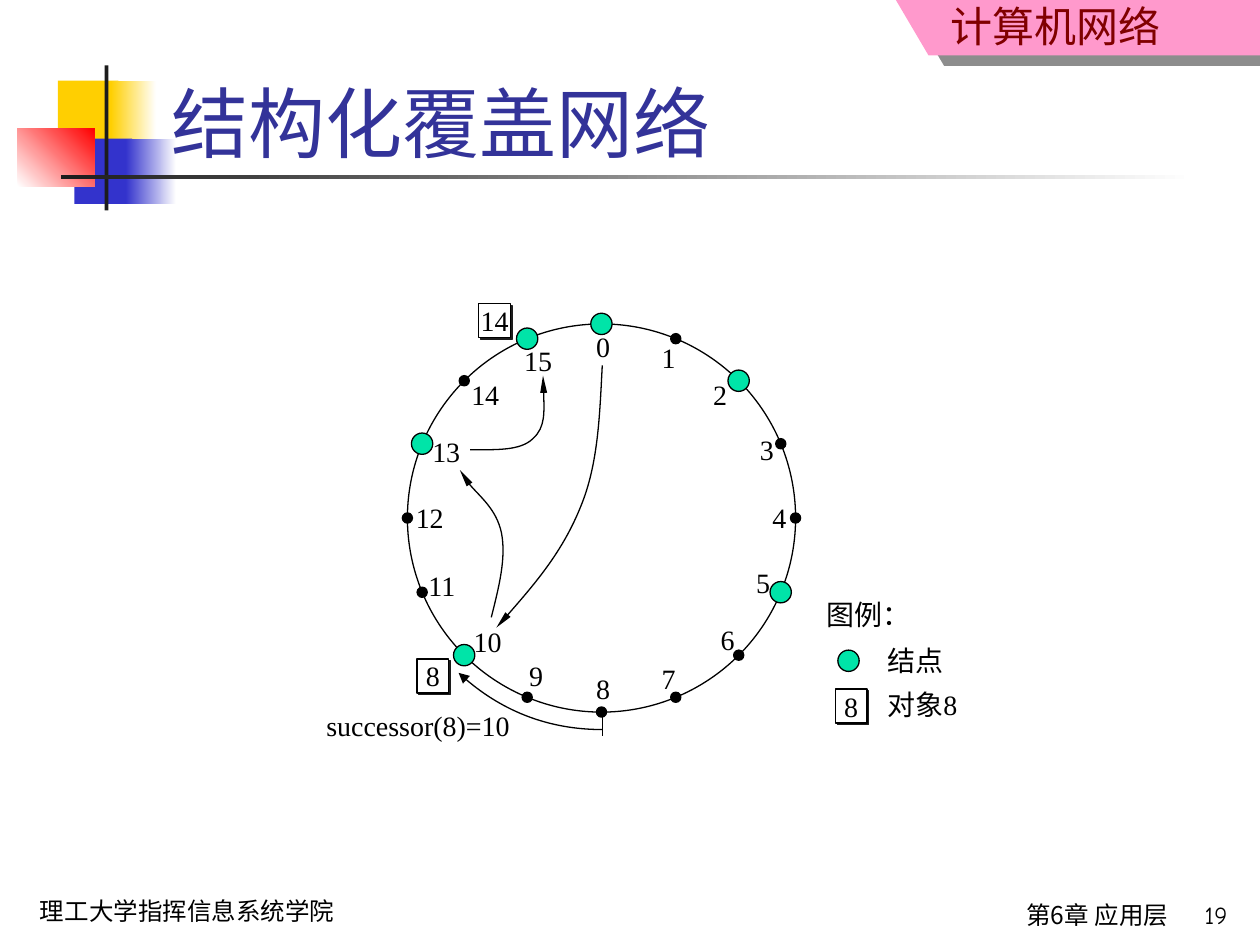
"""Builds a slide on a structured overlay network: a ring of sixteen ids."""
from math import cos, radians, sin

from lxml.etree import SubElement as Sub
from pptx import Presentation
from pptx.dml.color import RGBColor as Rgb
from pptx.enum.shapes import MSO_CONNECTOR as Link, MSO_SHAPE as Kind
from pptx.enum.text import MSO_ANCHOR as Anchor, PP_ALIGN as Align
from pptx.oxml.ns import qn
from pptx.util import Pt

HUES = {
    "black": "000000", "white": "FFFFFF", "dark": "1C1C1C", "gold": "FFCF01",
    "blue": "3333CC", "red": "FF0000", "pink": "FF99CC", "wine": "800000",
    "title": "333399", "node": "00E4A8",
}
SERIF, COMIC, HAN = "Times New Roman", "Comic Neue", "Noto Sans CJK SC"


def hue(name):
    """Gives the colour of that name."""
    return Rgb.from_string(HUES[name])


def write(frame, text, size=16, face=SERIF, color="black", align=Align.LEFT,
          anchor=Anchor.TOP, pad=0, wrap=True):
    """Puts one formatted line of text in a frame."""
    frame.word_wrap = wrap
    frame.vertical_anchor = anchor
    frame.margin_left = frame.margin_right = Pt(pad)
    frame.margin_top = frame.margin_bottom = Pt(pad / 2)
    line = frame.paragraphs[0]
    line.alignment = align
    run = line.add_run()
    run.text = text
    run.font.size, run.font.name = Pt(size), face
    run.font.color.rgb = hue(color)
    Sub(run.font._element, qn("a:ea"), typeface=HAN)


class Board:
    """Holds the slide and the line style, and draws each kind of part."""

    def __init__(self, slide, width=0.75):
        self.slide, self.shapes, self.width = slide, slide.shapes, width

    def style(self, shape, fill=None, line=None):
        """Sets fill and line and drops the shadow."""
        shape.shadow.inherit = False
        if fill is None:
            shape.fill.background()
        else:
            shape.fill.solid()
            shape.fill.fore_color.rgb = hue(fill)
        if line is None:
            shape.line.fill.background()
        else:
            shape.line.color.rgb = hue(line)
            shape.line.width = Pt(self.width)

    def shape(self, kind, x, y, w, h, fill=None, line=None):
        """Adds a preset shape."""
        item = self.shapes.add_shape(kind, Pt(x), Pt(y), Pt(w), Pt(h))
        self.style(item, fill, line)
        return item

    def fade(self, x, y, w, h, start, end="white", angle=0):
        """Adds a box with a two-colour blend."""
        fill = self.shape(Kind.RECTANGLE, x, y, w, h).fill
        fill.gradient()
        fill.gradient_angle = angle
        for stop, name in zip(fill.gradient_stops, (start, end)):
            stop.color.rgb = hue(name)

    def shade(self, item, dist, angle, alpha=100):
        """Gives a shape a hard shadow."""
        glow = item._element.spPr.find(qn("a:effectLst"))
        outer = Sub(glow, qn("a:outerShdw"), blurRad="0", dist=str(Pt(dist)),
                    dir=str(angle * 60000), algn="ctr", rotWithShape="0")
        tint = Sub(outer, qn("a:srgbClr"), val=HUES["dark"])
        Sub(tint, qn("a:alpha"), val=str(alpha * 1000))

    def disc(self, x, y, size, fill=None):
        """Adds a circle about a point."""
        self.shape(Kind.OVAL, x - size / 2, y - size / 2, size, size, fill, "black")

    def label(self, text, x, y, w=110, h=26, **form):
        """Adds a text box."""
        box = self.shapes.add_textbox(Pt(x), Pt(y), Pt(w), Pt(h))
        write(box.text_frame, text, **form)

    def card(self, text, x, y):
        """Adds the framed id of a stored object."""
        item = self.shape(Kind.RECTANGLE, x, y, 18, 19.4, "white", "black")
        self.shade(item, 1.4, 45)
        write(item.text_frame, text, align=Align.CENTER)

    def outline(self, points, close=False):
        """Adds an outline through the points."""
        first, *rest = [(Pt(x), Pt(y)) for x, y in points]
        pen = self.shapes.build_freeform(*first)
        pen.add_line_segments(rest, close=close)
        return pen.convert_to_shape()

    def curve(self, points, wide="sm", long="lg"):
        """Adds a Bezier arrow; after the start, points come in threes."""
        item = self.outline(points)
        self.style(item, line="black")
        trail = item._element.spPr.find(".//" + qn("a:path"))
        steps = trail.findall(qn("a:lnTo"))
        for i in range(0, len(steps), 3):
            bend = Sub(trail, qn("a:cubicBezTo"))
            for step in steps[i:i + 3]:
                bend.append(step[0])
                trail.remove(step)
        Sub(item.line._get_or_add_ln(), qn("a:tailEnd"),
            type="triangle", w=wide, len=long)

    def rule(self, x, y, to_x, to_y):
        """Adds a straight line."""
        item = self.shapes.add_connector(Link.STRAIGHT, Pt(x), Pt(y), Pt(to_x), Pt(to_y))
        item.line.color.rgb, item.line.width = hue("black"), Pt(self.width)
        Sub(item._element.spPr, qn("a:effectLst"))

    def title(self, text):
        """Places and fills the title in front of the decor."""
        item = self.shapes.title
        item.left, item.top, item.width, item.height = Pt(90.7), Pt(16.6), Pt(613.4), Pt(82.8)
        write(item.text_frame, text, size=44, face="Arial", color="title",
              anchor=Anchor.BOTTOM, pad=7.2)
        self.shapes._spTree.append(item._element)


def decor(board):
    """Draws the corner squares, the banner and the footer."""
    board.shape(Kind.RECTANGLE, 33.1, 46.1, 34.6, 37.4, "gold")
    board.fade(63.4, 46.1, 25.9, 37.4, "gold")
    board.shape(Kind.RECTANGLE, 42.5, 79.2, 33.1, 37.4, "blue")
    board.fade(72, 79.2, 28.8, 37.4, "blue")
    board.fade(10.1, 73.4, 43.9, 33.1, "white", "red", 45)
    board.shape(Kind.RECTANGLE, 59.8, 37.4, 2.2, 82.8, "dark")
    board.fade(34.6, 100.1, 648, 2.2, "dark")
    banner = board.outline([(511.9, 0), (530.6, 31.7), (720, 31.7), (720, 0)], True)
    board.style(banner, "pink")
    board.shade(banner, 10.8, 34, 50)
    board.label("计算机网络", 416.2, 0, 246.9, 32.4, size=24, face=HAN,
                color="wine", align=Align.RIGHT)
    board.label("理工大学指挥信息系统学院", 15.8, 508.3, 224, 24.5,
                size=14, face=COMIC, pad=7.2)
    board.label("第6章 应用层", 308.9, 510.5, 365.8, 29.5,
                size=14, face=HAN, align=Align.RIGHT, pad=7.2)
    board.label("19", 651.6, 510.5, 56.9, 27.4,
                size=14, face=COMIC, align=Align.RIGHT, pad=7.2)


def ring(board, mid_x=343.7, mid_y=296, radius=110.9):
    """Draws the ring with its ids; live nodes are large and green."""
    spots = [(340.6, 188.6), (378, 194.4), (407.5, 216), (434.2, 247),
             (441.4, 285.8), (432, 323.3), (411.8, 355.7), (378, 378),
             (340.6, 383.8), (302.4, 376.6), (270.7, 357.1), (244.8, 324.7),
             (237.6, 285.8), (247, 248.4), (269.3, 216), (299.5, 196.6)]
    live = {0, 2, 5, 10, 13, 15}
    board.disc(mid_x, mid_y, 2 * radius)
    for key, (x, y) in enumerate(spots):
        turn = radians(key * 360 / len(spots))
        size, fill = (12.2, "node") if key in live else (5.8, "black")
        board.disc(mid_x + radius * sin(turn), mid_y - radius * cos(turn), size, fill)
        board.label(str(key), x, y, 18, 19.4, wrap=False)


def routes(board):
    """Draws the lookup path and the successor arc."""
    board.rule(344.2, 408.2, 344.2, 420.5)
    board.curve([(344.2, 416.9), (313.9, 416.9), (284.4, 405.4), (262.1, 384.5)],
                "med", "med")
    board.curve([(344.2, 208.8), (342.7, 236.9), (342, 265), (331.9, 289.4),
                 (321.8, 314.6), (303.1, 337), (283.7, 358.6)])
    board.curve([(280.8, 352.8), (285.1, 335.5), (289.4, 319), (286.6, 304.6),
                 (283.7, 290.9), (262.8, 272.9), (262.8, 268.6)])
    board.curve([(268.6, 257), (283, 257), (297.4, 257.8), (304.6, 250.6),
                 (311.8, 244.1), (311, 229.7), (310.3, 214.6)])
    board.card("14", 273.6, 173.5)
    board.card("8", 238.3, 376.6)
    board.label("successor(8)=10", 186.5, 404.6, wrap=False)


def legend(board):
    """Draws the key to the symbols."""
    board.label("图例：", 472.3, 341.3, wrap=False)
    board.disc(484.9, 377.6, 12.2, "node")
    board.label("结点", 507.2, 367.9, wrap=False)
    board.card("8", 477.4, 393.8)
    board.label("对象8", 507.2, 393.1, wrap=False)


def main():
    """Builds and saves the slide."""
    deck = Presentation()
    deck.slide_width, deck.slide_height = Pt(720), Pt(540)
    board = Board(deck.slides.add_slide(deck.slide_layouts[5]))
    decor(board)
    board.title("结构化覆盖网络")
    ring(board)
    routes(board)
    legend(board)
    deck.save("out.pptx")


if __name__ == "__main__":
    main()
